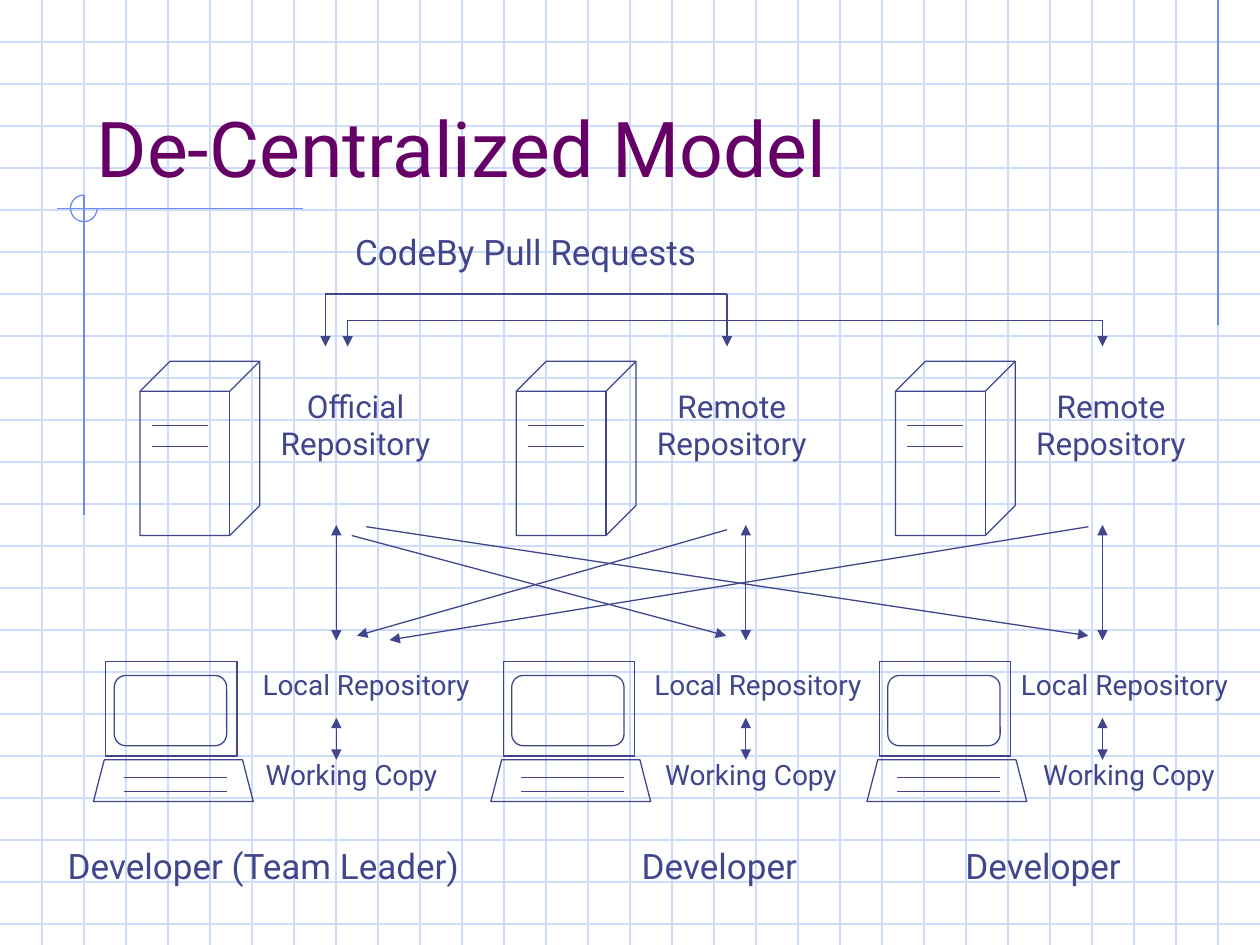
from lxml.etree import SubElement
from pptx import Presentation
from pptx.dml.color import RGBColor
from pptx.enum.shapes import MSO_CONNECTOR, MSO_SHAPE
from pptx.enum.text import MSO_ANCHOR, MSO_AUTO_SIZE, PP_ALIGN
from pptx.oxml.ns import qn
from pptx.util import Pt

COLORS = {"grid": "CFDBFD", "accent": "6F89F7", "title": "660066", "ink": "40458C"}
FONT = "Roboto"
WIDTH, HEIGHT, GRID = 720, 540, 24

TITLE = "De-Centralized Model"
CAPTION = "CodeBy Pull Requests"
COLUMNS = [
    {"server": "Official\nRepository", "role": "Developer (Team Leader)", "tower_x": 80, "laptop_x": 53.4,
     "local_x": 140.4, "copy_x": 141.1, "axis_x": 192.2, "role_x": 25.2, "role_w": 250.6},
    {"server": "Remote\nRepository", "role": "Developer", "tower_x": 295, "laptop_x": 280.5,
     "local_x": 364.3, "copy_x": 369.4, "axis_x": 426.2, "role_x": 355.7, "role_w": 110.9},
    {"server": "Remote\nRepository", "role": "Developer", "tower_x": 511.7, "laptop_x": 495.4,
     "local_x": 573.8, "copy_x": 585.4, "axis_x": 630, "role_x": 540.7, "role_w": 110.9},
]
PULL_REQUESTS = [(630, 198.7, 183, 183), (415.5, 183, 168, 168)]
PULL_REQUESTS = [(198.7, 630, 183), (186, 415.5, 168)]
SYNC_ARROWS = [
    (415.5, 302.7, 204, 363.3),
    (622, 301, 222.6, 365.7),
    (201, 306, 415, 363.3),
    (209.3, 301, 622, 363.3),
]
ACCENT_LINES = [(696, 0, 696, 186), (173, 119.3, 32.5, 119.3), (48, 111.5, 48, 294.5)]


def rgb(name):
    return RGBColor.from_string(COLORS[name])


def write(shape, text, size=16, color="ink", align=PP_ALIGN.CENTER, anchor=MSO_ANCHOR.TOP,
          wrap=False, fit=MSO_AUTO_SIZE.SHAPE_TO_FIT_TEXT):
    tf = shape.text_frame
    tf.word_wrap, tf.auto_size, tf.vertical_anchor = wrap, fit, anchor
    for i, line in enumerate(text.split("\n")):
        p = tf.add_paragraph() if i else tf.paragraphs[0]
        p.alignment = align
        r = p.add_run()
        r.text = line
        r.font.size, r.font.name = Pt(size), FONT
        r.font.color.rgb = rgb(color)


def label(s, text, x, y, w, h, **fmt):
    write(s.shapes.add_textbox(Pt(x), Pt(y), Pt(w), Pt(h)), text, **fmt)


def outline(shape, color="ink"):
    shape.shadow.inherit = False
    shape.fill.background()
    shape.line.color.rgb = rgb(color)
    shape.line.width = Pt(0.75)
    return shape


def draw(s, kind, x, y, w, h, color="ink"):
    return outline(s.shapes.add_shape(kind, Pt(x), Pt(y), Pt(w), Pt(h)), color)


def line(s, x1, y1, x2, y2, color="ink", ends=()):
    c = s.shapes.add_connector(MSO_CONNECTOR.STRAIGHT, Pt(x1), Pt(y1), Pt(x2), Pt(y2))
    c.line.color.rgb = rgb(color)
    c.line.width = Pt(0.75)
    for end in ends:
        SubElement(c.line._get_or_add_ln(), qn(f"a:{end}")).set("type", "triangle")
    SubElement(c.element.spPr, qn("a:effectLst"))


def background(s):
    for y in range(GRID, HEIGHT, GRID):
        line(s, 0, y, WIDTH, y, "grid")
    for x in range(GRID, WIDTH, GRID):
        line(s, x, 0, x, HEIGHT, "grid")
    for ends in ACCENT_LINES:
        line(s, *ends, "accent")
    arc = draw(s, MSO_SHAPE.ARC, 40.3, 111.5, 15.2, 15.2, "accent")
    arc.adjustments[0], arc.adjustments[1] = 0, 162


def server(s, x, text):
    draw(s, MSO_SHAPE.CUBE, x, 206.5, 68.4, 99.5)
    for y in (243.3, 255):
        line(s, x + 6.6, y, x + 38.7, y)
    label(s, text, x + 70.6, 217.4, 105.1, 50.4, size=18)


def laptop(s, x):
    draw(s, MSO_SHAPE.RECTANGLE, x + 7.1, 378, 75, 54)
    fb = s.shapes.build_freeform(Pt(x), Pt(458))
    corners = [(x + 6.2, 434.2), (x + 85.2, 434.2), (x + 91.3, 458)]
    fb.add_line_segments([(Pt(px), Pt(py)) for px, py in corners], close=True)
    outline(fb.convert_to_shape())
    draw(s, MSO_SHAPE.ROUNDED_RECTANGLE, x + 11.9, 386, 64.2, 40.2)
    for y in (444.2, 452.2):
        line(s, x + 17.3, y, x + 76.3, y)


def main():
    prs = Presentation()
    prs.slide_width, prs.slide_height = Pt(WIDTH), Pt(HEIGHT)
    s = prs.slides.add_slide(prs.slide_layouts[5])
    background(s)

    title = s.shapes.title
    title.left, title.top, title.width, title.height = Pt(48), Pt(24), Pt(612), Pt(90)
    write(title, TITLE, size=44, color="title", align=PP_ALIGN.LEFT, anchor=MSO_ANCHOR.BOTTOM,
          wrap=True, fit=MSO_AUTO_SIZE.NONE)
    title.element.getparent().append(title.element)

    both = ("headEnd", "tailEnd")
    for col in COLUMNS:
        server(s, col["tower_x"], col["server"])
        laptop(s, col["laptop_x"])
        label(s, "Local Repository", col["local_x"], 378, 137.5, 26.6)
        label(s, "Working Copy", col["copy_x"], 429.1, 119.5, 26.6)
        label(s, col["role"], col["role_x"], 478.8, col["role_w"], 31.5, size=20)
        for top, bottom in ((300, 366), (410.2, 434.2)):
            line(s, col["axis_x"], top, col["axis_x"], bottom, ends=both)

    label(s, CAPTION, 195.8, 128.3, 212.4, 31.5, size=20, align=PP_ALIGN.LEFT)
    for left, right, y in PULL_REQUESTS:
        line(s, right, y, left, y)
        for x in (left, right):
            line(s, x, y, x, 198, ends=["tailEnd"])
    for ends in SYNC_ARROWS:
        line(s, *ends, ends=["tailEnd"])

    prs.save("out.pptx")


if __name__ == "__main__":
    main()
